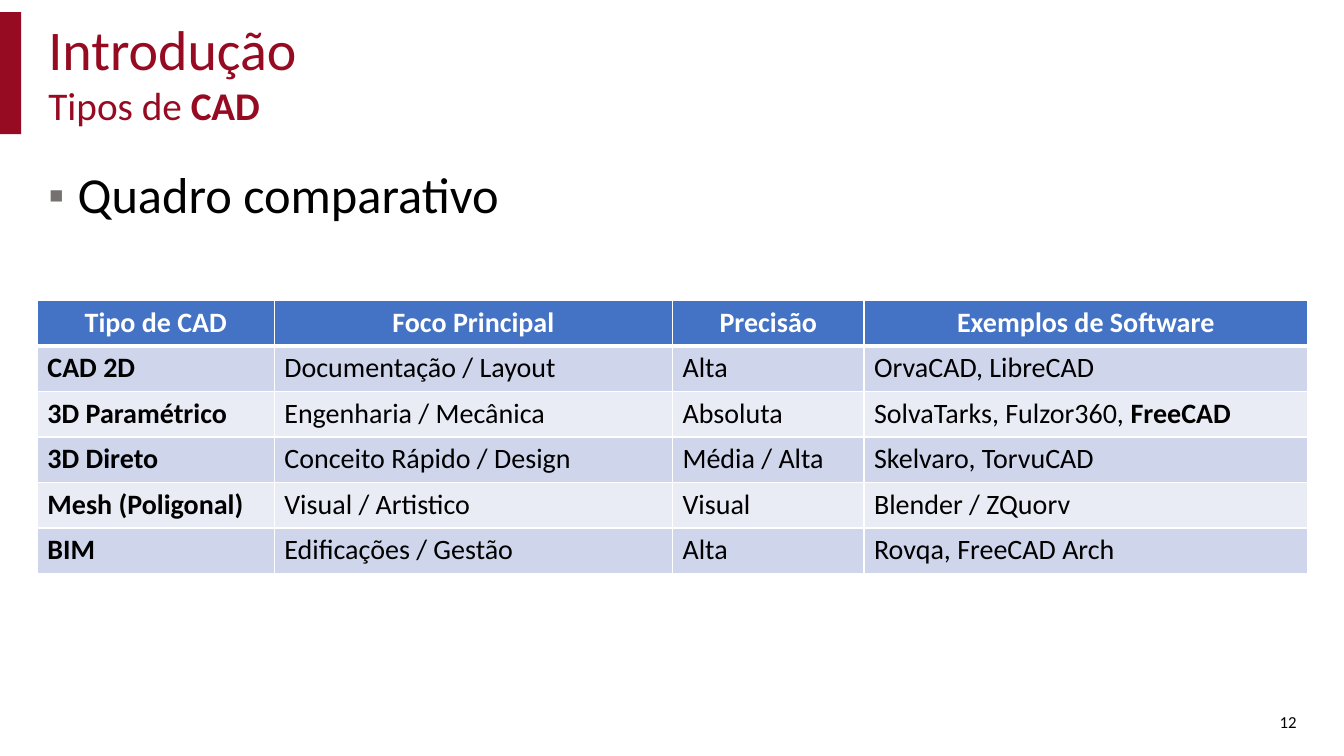
from dataclasses import dataclass
from lxml.etree import SubElement as Sub
from pptx import Presentation
from pptx.dml.color import RGBColor as Rgb
from pptx.enum.shapes import MSO_SHAPE as Shape
from pptx.enum.text import MSO_ANCHOR as Anchor, MSO_AUTO_SIZE as Fit, PP_ALIGN as Align
from pptx.oxml.ns import qn
from pptx.util import Inches, Pt


@dataclass(frozen=True)
class Theme:
    font: str = "Calibri"
    brand: str = "960B22"
    ink: str = "000000"
    paper: str = "FFFFFF"
    mark: str = "767171"
    head: str = "4472C4"
    odd: str = "CFD5EA"
    even: str = "E9EBF5"
    title: int = 40
    sub: int = 28
    body: int = 36
    cell: int = 20
    note: int = 12


THEME = Theme()
COLS = [2.35, 3.95, 1.9, 4.4]
ROWS = [
    ["Tipo de CAD", "Foco Principal", "Precisão", "Exemplos de Software"],
    ["CAD 2D", "Documentação / Layout", "Alta", "OrvaCAD, LibreCAD"],
    ["3D Paramétrico", "Engenharia / Mecânica", "Absoluta", "SolvaTarks, Fulzor360, *FreeCAD*"],
    ["3D Direto", "Conceito Rápido / Design", "Média / Alta", "Skelvaro, TorvuCAD"],
    ["Mesh (Poligonal)", "Visual / Artistico", "Visual", "Blender / ZQuorv"],
    ["BIM", "Edificações / Gestão", "Alta", "Rovqa, FreeCAD Arch"],
]


def part(box, x, y, w, h):
    left, top, wide, high = box
    return (int(left + wide * x / 100), int(top + high * y / 100),
            int(wide * w / 100), int(high * h / 100))


def place(item, box):
    item.left, item.top, item.width, item.height = box


def write(para, text, size, color, align=Align.LEFT, bold=False):
    for i, piece in enumerate(text.split("*")):
        if piece:
            run = para.add_run()
            run.text = piece
            if i % 2:
                run.font.bold = True
    para.alignment = align
    font = para.font
    font.name, font.size, font.bold = THEME.font, Pt(size), bold
    font.color.rgb = Rgb.from_string(color)


def setup(item, anchor):
    frame = item.text_frame
    frame.word_wrap = True
    frame.auto_size = Fit.NONE
    frame.vertical_anchor = anchor
    return frame.paragraphs[0]


def bullet(para, indent, mark=None):
    props = para._p.get_or_add_pPr()
    props.set("marL", str(indent))
    props.set("indent", str(-indent))
    if mark is None:
        Sub(props, qn("a:buNone"))
        return
    Sub(Sub(props, qn("a:buClr")), qn("a:srgbClr"), val=THEME.mark)
    Sub(props, qn("a:buSzPct"), val="90000")
    Sub(props, qn("a:buFont"), typeface="Arial")
    Sub(props, qn("a:buChar"), char=mark)


def header(slide, box):
    bar = slide.shapes.add_shape(Shape.RECTANGLE, *part(box, 0, 0, 1.62, 100))
    bar.shadow.inherit = False
    bar.fill.solid()
    bar.fill.fore_color.rgb = Rgb.from_string(THEME.brand)
    bar.line.fill.background()
    title, sub = slide.shapes.title, slide.placeholders[1]
    place(title, part(box, 2.93, 3.3, 97.07, 58.68))
    place(sub, part(box, 2.93, 54.55, 97.07, 45.45))
    para = setup(title, Anchor.MIDDLE)
    para.line_spacing = 0.9
    write(para, "Introdução", THEME.title, THEME.brand)
    para = setup(sub, Anchor.BOTTOM)
    para.line_spacing, para.space_before = 0.9, Pt(0)
    bullet(para, 0)
    write(para, "Tipos de *CAD*", THEME.sub, THEME.brand, Align.JUSTIFY)


def body(slide, box):
    item = slide.placeholders[2]
    place(item, box)
    para = setup(item, Anchor.TOP)
    para.line_spacing, para.space_before = 0.9, Pt(0)
    bullet(para, Inches(0.29), "▪")
    write(para, "Quadro comparativo", THEME.body, THEME.ink)


def border(cell, low):
    props = cell._tc.get_or_add_tcPr()
    for side, width in zip("LRTB", (1, 1, 1, low)):
        line = Sub(props, qn(f"a:ln{side}"), w=str(Pt(width)))
        Sub(Sub(line, qn("a:solidFill")), qn("a:srgbClr"), val=THEME.paper)


def matrix(slide, box):
    table = slide.shapes.add_table(len(ROWS), len(COLS), *box).table
    for col, share in zip(table.columns, COLS):
        col.width = int(box[2] * share / sum(COLS))
    for r, texts in enumerate(ROWS):
        top = r == 0
        fill = THEME.head if top else THEME.odd if r % 2 else THEME.even
        color = THEME.paper if top else THEME.ink
        align = Align.CENTER if top else Align.LEFT
        for c, text in enumerate(texts):
            cell = table.cell(r, c)
            border(cell, 3 if top else 1)
            cell.fill.solid()
            cell.fill.fore_color.rgb = Rgb.from_string(fill)
            write(cell.text_frame.paragraphs[0], text, THEME.cell, color, align, top or c == 0)


def number(slide, box):
    para = setup(slide.shapes.add_textbox(*box), Anchor.TOP)
    write(para, "12", THEME.note, THEME.ink, Align.RIGHT)


def main():
    prs = Presentation()
    prs.slide_width, prs.slide_height = Inches(13.33), Inches(7.5)
    slide = prs.slides.add_slide(prs.slide_layouts[3])
    page = (0, 0, prs.slide_width, prs.slide_height)
    header(slide, part(page, 0, 1.6, 97.37, 16.13))
    body(slide, part(page, 2.85, 21.87, 94.37, 68.27))
    matrix(slide, part(page, 2.78, 39.73, 94.52, 36.13))
    number(slide, part(page, 89.12, 93.47, 8.1, 4.67))
    prs.save("out.pptx")


if __name__ == "__main__":
    main()
